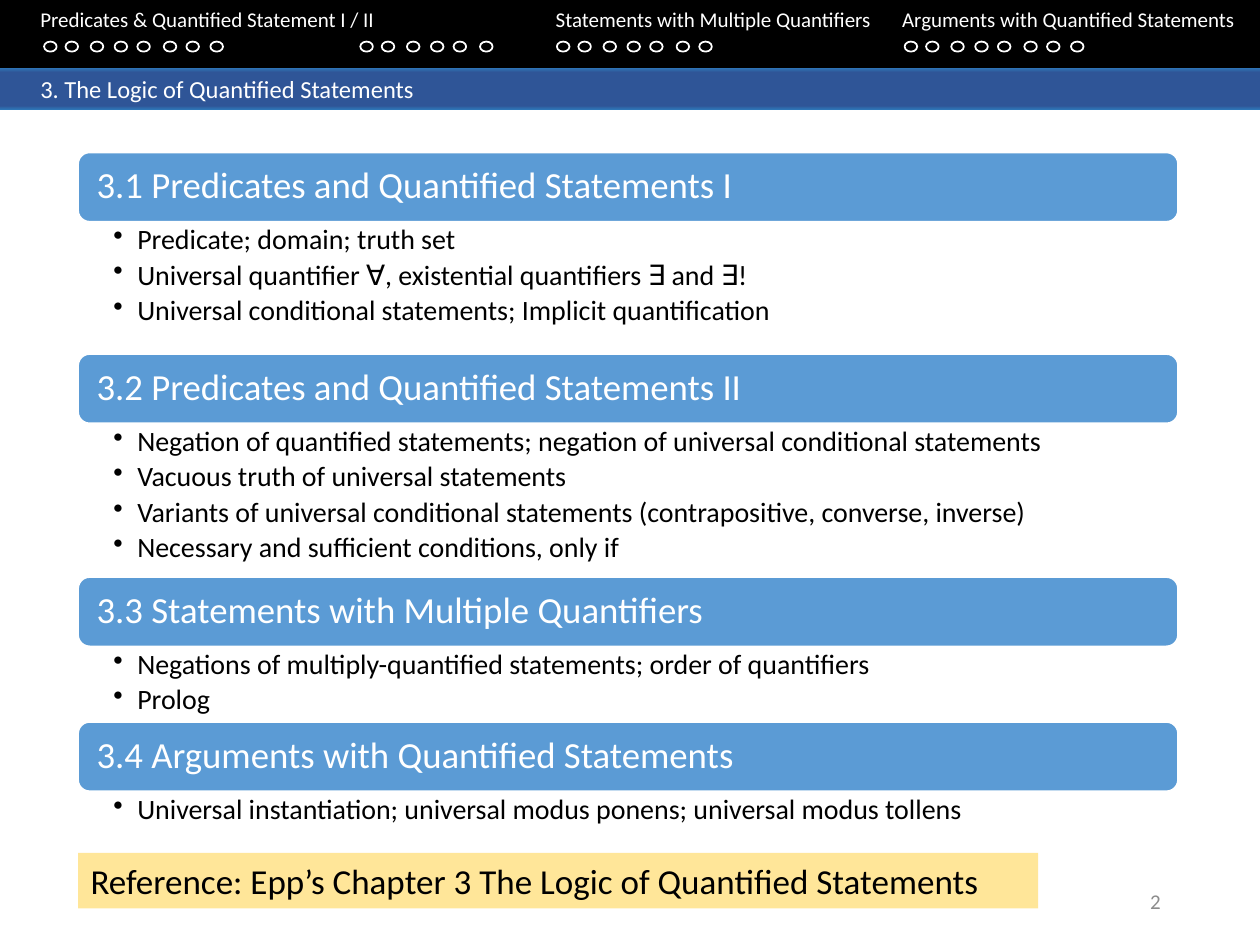
from dataclasses import dataclass

from lxml.etree import SubElement
from pptx import Presentation
from pptx.dml.color import RGBColor
from pptx.enum.shapes import MSO_SHAPE
from pptx.enum.text import MSO_ANCHOR, MSO_AUTO_SIZE, PP_ALIGN
from pptx.oxml.ns import qn
from pptx.util import Inches, Pt


@dataclass(frozen=True)
class Theme:
    font: str = "Calibri"
    black: str = "000000"
    white: str = "FFFFFF"
    heading: str = "5B9BD5"
    reference: str = "FFE699"
    page_number: str = "8C8C8C"
    band_edge: str = "2E75B6"
    band_middle: str = "2F5597"
    nav_size: int = 12
    title_size: int = 14
    heading_size: int = 21
    point_size: int = 16
    reference_size: int = 20


@dataclass(frozen=True)
class Topic:
    top: float
    height: float
    heading: str
    points: tuple[str, ...]


@dataclass(frozen=True)
class NavSection:
    left: float
    rings: int


THEME = Theme()
SLIDE_WIDTH = 10
TOPIC_LEFT, TOPIC_WIDTH, HEADING_HEIGHT = 0.62, 8.73, 0.55
RING_OFFSETS = (0, 0.17, 0.37, 0.56, 0.74, 0.95, 1.13, 1.32)

TOPICS = (
    Topic(1.21, 1.05, "3.1 Predicates and Quantified Statements I", (
        "Predicate; domain; truth set",
        "Universal quantifier ∀, existential quantifiers ∃ and ∃!",
        "Universal conditional statements; Implicit quantification",
    )),
    Topic(2.81, 1.21, "3.2 Predicates and Quantified Statements II", (
        "Negation of quantified statements; negation of universal conditional statements",
        "Vacuous truth of universal statements",
        "Variants of universal conditional statements (contrapositive, converse, inverse)",
        "Necessary and sufficient conditions, only if",
    )),
    Topic(4.58, 0.61, "3.3 Statements with Multiple Quantifiers", (
        "Negations of multiply-quantified statements; order of quantifiers",
        "Prolog",
    )),
    Topic(5.73, 0.38, "3.4 Arguments with Quantified Statements", (
        "Universal instantiation; universal modus ponens; universal modus tollens",
    )),
)

NAV_TITLES = (
    "Predicates & Quantified Statement I / II",
    "Statements with Multiple Quantifiers",
    "Arguments with Quantified Statements",
)
NAV_TABS = (4.09, 6.84)
NAV_SECTIONS = (NavSection(0.35, 8), NavSection(2.86, 6),
                NavSection(4.42, 7), NavSection(7.18, 8))


def add_panel(slide, kind, left: float, top: float, width: float, height: float,
              fill: str | None = None, line: str | None = None):
    panel = slide.shapes.add_shape(
        kind, Inches(left), Inches(top), Inches(width), Inches(height))
    panel.shadow.inherit = False
    if fill:
        panel.fill.solid()
        panel.fill.fore_color.rgb = RGBColor.from_string(fill)
    else:
        panel.fill.background()
    if line:
        panel.line.color.rgb = RGBColor.from_string(line)
        panel.line.width = Pt(1)
    else:
        panel.line.fill.background()
    return panel


def set_frame(shape, left: float = 0.1, right: float = 0.1, edge: float = 0.05,
              anchor=MSO_ANCHOR.TOP):
    frame = shape.text_frame
    frame.word_wrap = True
    frame.vertical_anchor = anchor
    frame.margin_left, frame.margin_right = Inches(left), Inches(right)
    frame.margin_top = frame.margin_bottom = Inches(edge)
    return frame


def write(paragraph, text: str, size: int, color: str, align=PP_ALIGN.LEFT) -> None:
    paragraph.alignment = align
    run = paragraph.add_run()
    run.text = text
    run.font.name = THEME.font
    run.font.size = Pt(size)
    run.font.color.rgb = RGBColor.from_string(color)


def add_bullet(paragraph) -> None:
    properties = paragraph._p.get_or_add_pPr()
    properties.set("marL", str(Inches(0.19)))
    properties.set("indent", str(Inches(-0.19)))
    SubElement(properties, qn("a:buChar"), char="•")


def add_tabs(paragraph, positions: tuple[float, ...]) -> None:
    tabs = SubElement(paragraph._p.get_or_add_pPr(), qn("a:tabLst"))
    for position in positions:
        SubElement(tabs, qn("a:tab"), pos=str(Inches(position)), algn="l")


def set_band_gradient(band) -> None:
    band.fill.gradient()
    band.fill.gradient_angle = 270
    stops = band._element.spPr.find(".//" + qn("a:gsLst"))
    for stop in list(stops):
        stops.remove(stop)
    for percent, color in ((0, THEME.band_edge), (11, THEME.band_middle),
                           (91, THEME.band_middle), (100, THEME.band_edge)):
        stop = SubElement(stops, qn("a:gs"), pos=str(percent * 1000))
        SubElement(stop, qn("a:srgbClr"), val=color)


def add_topic(slide, topic: Topic) -> None:
    heading = add_panel(slide, MSO_SHAPE.ROUNDED_RECTANGLE, TOPIC_LEFT, topic.top,
                        TOPIC_WIDTH, HEADING_HEIGHT, THEME.heading, THEME.white)
    title = set_frame(heading, 0.12, 0.12, anchor=MSO_ANCHOR.MIDDLE).paragraphs[0]
    title.line_spacing = 0.9
    write(title, topic.heading, THEME.heading_size, THEME.white)

    details = slide.shapes.add_textbox(
        Inches(TOPIC_LEFT), Inches(topic.top + HEADING_HEIGHT),
        Inches(TOPIC_WIDTH), Inches(topic.height))
    frame = set_frame(details, 0.28, 0.16, 0.03)
    for index, text in enumerate(topic.points):
        point = frame.add_paragraph() if index else frame.paragraphs[0]
        point.level = 1
        point.line_spacing = 0.9
        point.space_after = Pt(3)
        add_bullet(point)
        write(point, text, THEME.point_size, THEME.black)


def add_rings(slide, section: NavSection) -> None:
    for offset in RING_OFFSETS[:section.rings]:
        add_panel(slide, MSO_SHAPE.OVAL, section.left + offset, 0.33, 0.1, 0.08,
                  line=THEME.white)


def main() -> None:
    deck = Presentation()
    deck.slide_width, deck.slide_height = Inches(SLIDE_WIDTH), Inches(7.5)
    slide = deck.slides.add_slide(deck.slide_layouts[6])

    # Chapter band
    band = add_panel(slide, MSO_SHAPE.RECTANGLE, 0, 0.54, SLIDE_WIDTH, 0.33)
    set_band_gradient(band)
    write(set_frame(band, 0.32).paragraphs[0],
          "3. The Logic of Quantified Statements", THEME.title_size, THEME.white)

    # Topics
    for topic in TOPICS:
        add_topic(slide, topic)

    # Navigation bar
    nav = add_panel(slide, MSO_SHAPE.RECTANGLE, 0, 0, SLIDE_WIDTH, 0.54, THEME.black)
    nav_line = set_frame(nav, 0.32).paragraphs[0]
    add_tabs(nav_line, NAV_TABS)
    write(nav_line, "\t".join(NAV_TITLES), THEME.nav_size, THEME.white)
    for section in NAV_SECTIONS:
        add_rings(slide, section)

    # Reference and page number
    reference = add_panel(slide, MSO_SHAPE.RECTANGLE, TOPIC_LEFT, 6.77, 7.62, 0.44,
                          THEME.reference)
    reference_frame = set_frame(reference)
    reference_frame.auto_size = MSO_AUTO_SIZE.SHAPE_TO_FIT_TEXT
    write(reference_frame.paragraphs[0],
          "Reference: Epp’s Chapter 3 The Logic of Quantified Statements",
          THEME.reference_size, THEME.black)
    page = slide.shapes.add_textbox(Inches(7.06), Inches(6.95), Inches(2.25), Inches(0.4))
    write(set_frame(page, anchor=MSO_ANCHOR.MIDDLE).paragraphs[0], "2",
          THEME.nav_size, THEME.page_number, PP_ALIGN.RIGHT)

    deck.save("out.pptx")


if __name__ == "__main__":
    main()
